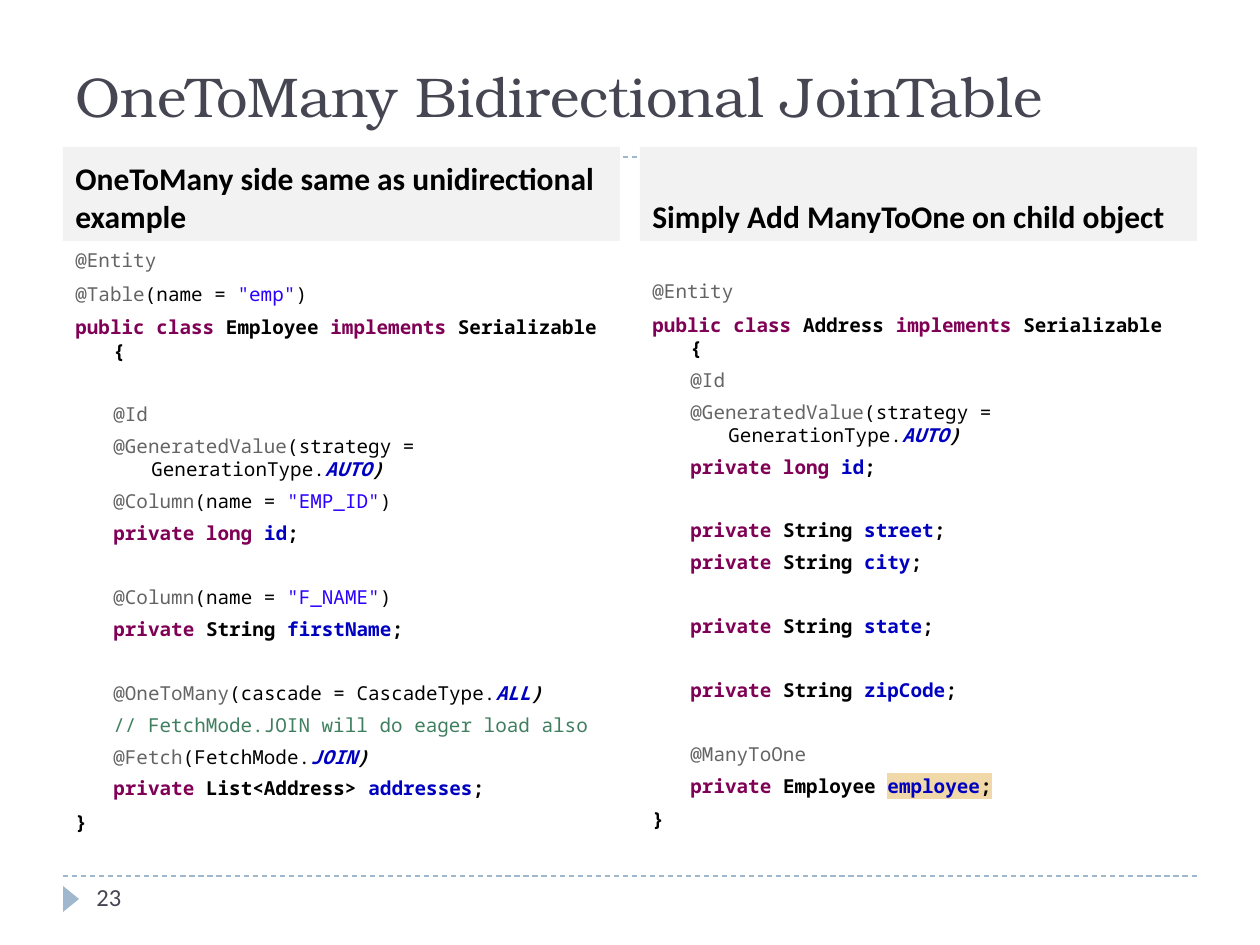
from enum import Enum
from typing import NamedTuple

from lxml.etree import SubElement
from pptx import Presentation
from pptx.dml.color import RGBColor
from pptx.enum.dml import MSO_LINE
from pptx.enum.shapes import MSO_CONNECTOR, MSO_SHAPE
from pptx.enum.text import MSO_ANCHOR, MSO_AUTO_SIZE, PP_ALIGN
from pptx.oxml import parse_xml
from pptx.oxml.ns import nsdecls, qn
from pptx.util import Emu, Pt

PX_PER_INCH = 126
LINE_PT = 13.25
INDENT = 38
SERIF, SANS, MONO = "TeX Gyre Bonum", "Calibri", "Noto Sans Mono"
INK, ACCENT = "464653", "9FB8CD"


class Look(NamedTuple):
    """Appearance of one kind of code token."""
    color: str
    bold: bool = False
    italic: bool = False
    highlight: str = ""


class Token(Enum):
    """Kinds of code token."""
    NOTE = Look("646464")
    PLAIN = Look("000000")
    STRING = Look("2A00FF")
    COMMENT = Look("3F7F5F")
    KEYWORD = Look("7F0055", bold=True)
    STRONG = Look("000000", bold=True)
    FIELD = Look("0000C0", bold=True)
    CONSTANT = Look("0000C0", bold=True, italic=True)
    CLOSE = Look("000000", bold=True, italic=True)
    MARKED_FIELD = Look("0000C0", bold=True, highlight="F0D8A8")
    MARKED = Look("000000", bold=True, highlight="F0D8A8")


class Line(NamedTuple):
    """One line of code; gap leaves a line's height above it."""
    level: int
    spans: list[tuple[Token, str]]
    gap: bool = False


class Column(NamedTuple):
    """A heading with the code below it."""
    left: int
    heading: str
    code_top: int
    code_height: int
    code: list[Line]


def px(n: float) -> Emu:
    """Convert pixels to EMU."""
    return Emu(round(n * 914400 / PX_PER_INCH))


def rgb(value: str) -> RGBColor:
    """Convert a hex string to a colour."""
    return RGBColor.from_string(value)


def note(name: str, args: str = "", constant: str = "", gap: bool = False) -> Line:
    """Annotation line, optionally ending in a constant."""
    spans = [(Token.NOTE, name)]
    if args:
        spans.append((Token.PLAIN, args))
    if constant:
        spans += [(Token.CONSTANT, constant), (Token.CLOSE, ")")]
    return Line(1, spans, gap)


def named(name: str, value: str, level: int = 1, gap: bool = False) -> Line:
    """Annotation line with a name attribute."""
    return Line(level, [(Token.NOTE, name), (Token.PLAIN, "(name = "),
                        (Token.STRING, f'"{value}"'), (Token.PLAIN, ")")], gap)


def field(kind: str, name: str, gap: bool = False, marked: bool = False) -> Line:
    """Private field declaration."""
    name_token, end_token = ((Token.MARKED_FIELD, Token.MARKED) if marked
                             else (Token.FIELD, Token.STRONG))
    kind_token = Token.KEYWORD if kind == "long" else Token.STRONG
    return Line(1, [(Token.KEYWORD, "private"), (kind_token, f" {kind} "),
                    (name_token, name), (end_token, ";")], gap)


def class_head(name: str) -> Line:
    """Opening line of a class."""
    return Line(0, [(Token.KEYWORD, "public class"), (Token.STRONG, f" {name} "),
                    (Token.KEYWORD, "implements "), (Token.STRONG, "Serializable {")])


ENTITY = Line(0, [(Token.NOTE, "@Entity")])
GENERATED = note("@GeneratedValue", "(strategy = GenerationType.", "AUTO")
END = Line(0, [(Token.STRONG, "}")])

COLUMNS = [
    Column(63, "OneToMany side same as unidirectional example", 242, 609, [
        ENTITY,
        named("@Table", "emp", level=0),
        class_head("Employee"),
        note("@Id", gap=True),
        GENERATED,
        named("@Column", "EMP_ID"),
        field("long", "id"),
        named("@Column", "F_NAME", gap=True),
        field("String", "firstName"),
        note("@OneToMany", "(cascade = CascadeType.", "ALL", gap=True),
        Line(1, [(Token.COMMENT, "// FetchMode.JOIN will do eager load also")]),
        note("@Fetch", "(FetchMode.", "JOIN"),
        field("List<Address>", "addresses"),
        END,
    ]),
    Column(640, "Simply Add ManyToOne on child object", 273, 557, [
        ENTITY,
        class_head("Address"),
        note("@Id"),
        GENERATED,
        field("long", "id"),
        field("String", "street", gap=True),
        field("String", "city"),
        field("String", "state", gap=True),
        field("String", "zipCode", gap=True),
        note("@ManyToOne", gap=True),
        field("Employee", "employee", marked=True),
        END,
    ]),
]


def set_text(sp, text: str, font: str, size: int, color: str, bold: bool = False) -> None:
    """Put one left-aligned paragraph in a shape."""
    tf = sp.text_frame
    tf.word_wrap = True
    tf.auto_size = MSO_AUTO_SIZE.NONE
    tf.text = text
    p = tf.paragraphs[0]
    p.alignment = PP_ALIGN.LEFT
    p.font.name, p.font.size, p.font.bold = font, Pt(size), bold
    p.font.color.rgb = rgb(color)


def add_box(s, kind, left: int, top: int, width: int, height: int, fill: str):
    """Add a filled shape without outline or shadow."""
    sp = s.shapes.add_shape(kind, px(left), px(top), px(width), px(height))
    sp.shadow.inherit = False
    sp.fill.solid()
    sp.fill.fore_color.rgb = rgb(fill)
    sp.line.fill.background()
    return sp


def add_rule(s, y: float) -> None:
    """Add a dashed rule across the slide."""
    rule = s.shapes.add_connector(MSO_CONNECTOR.STRAIGHT, px(63), px(y), px(1197), px(y))
    rule.line.color.rgb = rgb(ACCENT)
    rule.line.width = Pt(0.75)
    rule.line.dash_style = MSO_LINE.DASH
    SubElement(rule._element.spPr, qn("a:effectLst"))


def add_span(p, token: Token, text: str) -> None:
    """Add one code token to a paragraph."""
    look = token.value
    r = p.add_run()
    r.text = text
    r.font.bold, r.font.italic = look.bold, look.italic
    r.font.color.rgb = rgb(look.color)
    if look.highlight:
        r._r.rPr.find(qn("a:solidFill")).addnext(parse_xml(
            f'<a:highlight {nsdecls("a")}><a:srgbClr val="{look.highlight}"/></a:highlight>'))


def add_code(s, column: Column) -> None:
    """Add the code of a column."""
    tf = s.shapes.add_textbox(px(column.left), px(column.code_top),
                              px(557), px(column.code_height)).text_frame
    tf.word_wrap = True
    for i, line in enumerate(column.code):
        p = tf.add_paragraph() if i else tf.paragraphs[0]
        p.level = line.level
        p.font.name, p.font.size = MONO, Pt(11)
        p.line_spacing = Pt(LINE_PT)
        before = 6 - line.level
        p.space_before = Pt(2 * before + LINE_PT if line.gap else before if i else 0)
        pPr = p._p.get_or_add_pPr()
        pPr.set("marL", str(px(INDENT * (line.level + 1))))
        pPr.set("indent", str(px(-INDENT)))
        for token, text in line.spans:
            add_span(p, token, text)


def build() -> None:
    """Build and save the slide."""
    prs = Presentation()
    prs.slide_width, prs.slide_height = px(1260), px(945)
    s = prs.slides.add_slide(prs.slide_layouts[5])
    title = s.shapes.title
    title.left, title.top, title.width, title.height = px(63), px(32), px(1134), px(126)
    set_text(title, "OneToMany Bidirectional JoinTable", SERIF, 32, INK)
    title.text_frame.vertical_anchor = MSO_ANCHOR.MIDDLE
    for y in (876, 157):
        add_rule(s, y)
    marker = add_box(s, MSO_SHAPE.ISOSCELES_TRIANGLE, 58, 891, 26, 16, ACCENT)
    marker.rotation = 90
    for column in COLUMNS:
        heading = add_box(s, MSO_SHAPE.RECTANGLE, column.left, 147, 557, 94, "F2F2F2")
        set_text(heading, column.heading, SANS, 18, "000000", bold=True)
        heading.text_frame.vertical_anchor = MSO_ANCHOR.BOTTOM
        add_code(s, column)
    number = s.shapes.add_textbox(px(84), px(876), px(273), px(50))
    set_text(number, "23", SANS, 14, INK)
    prs.save("out.pptx")


build()
